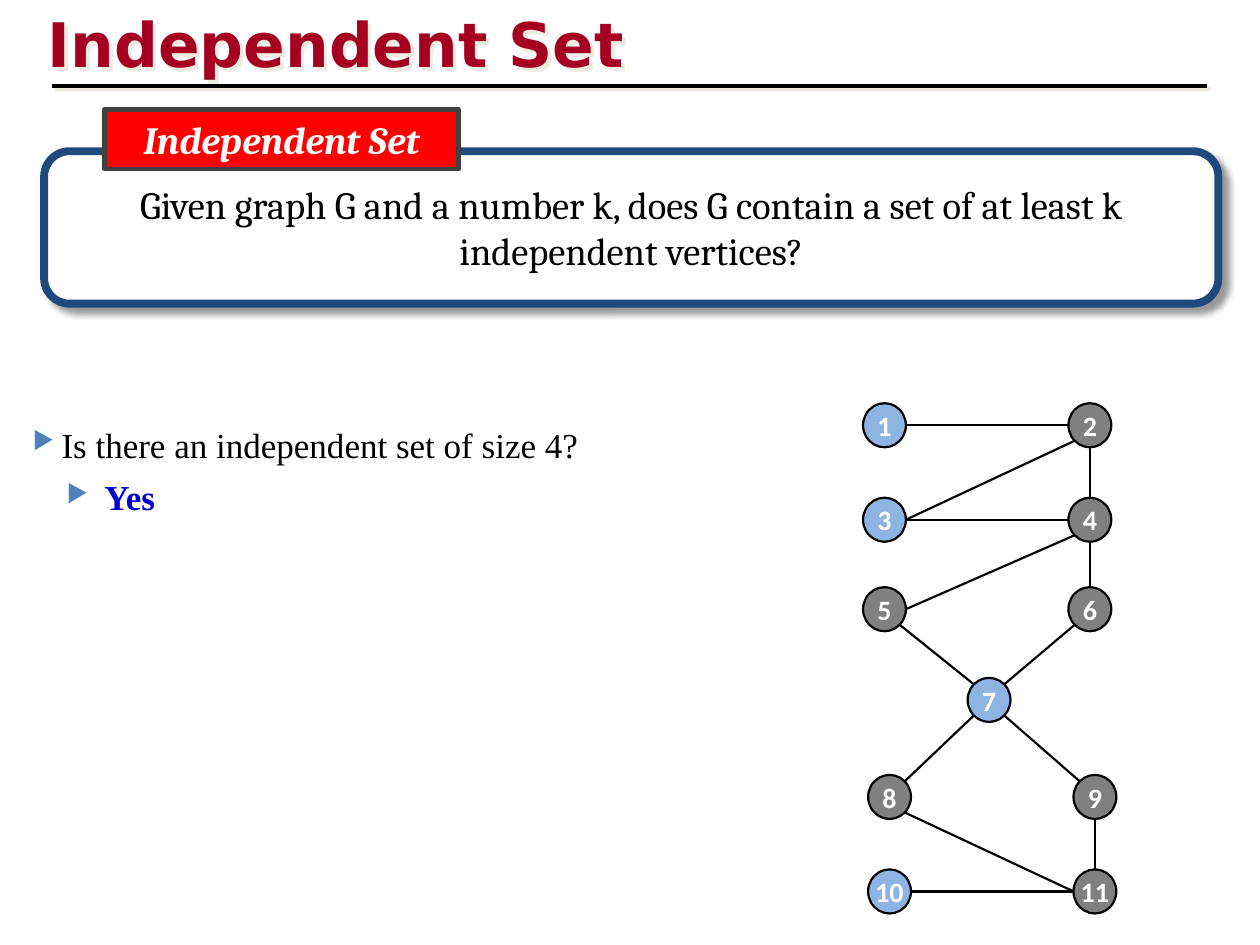
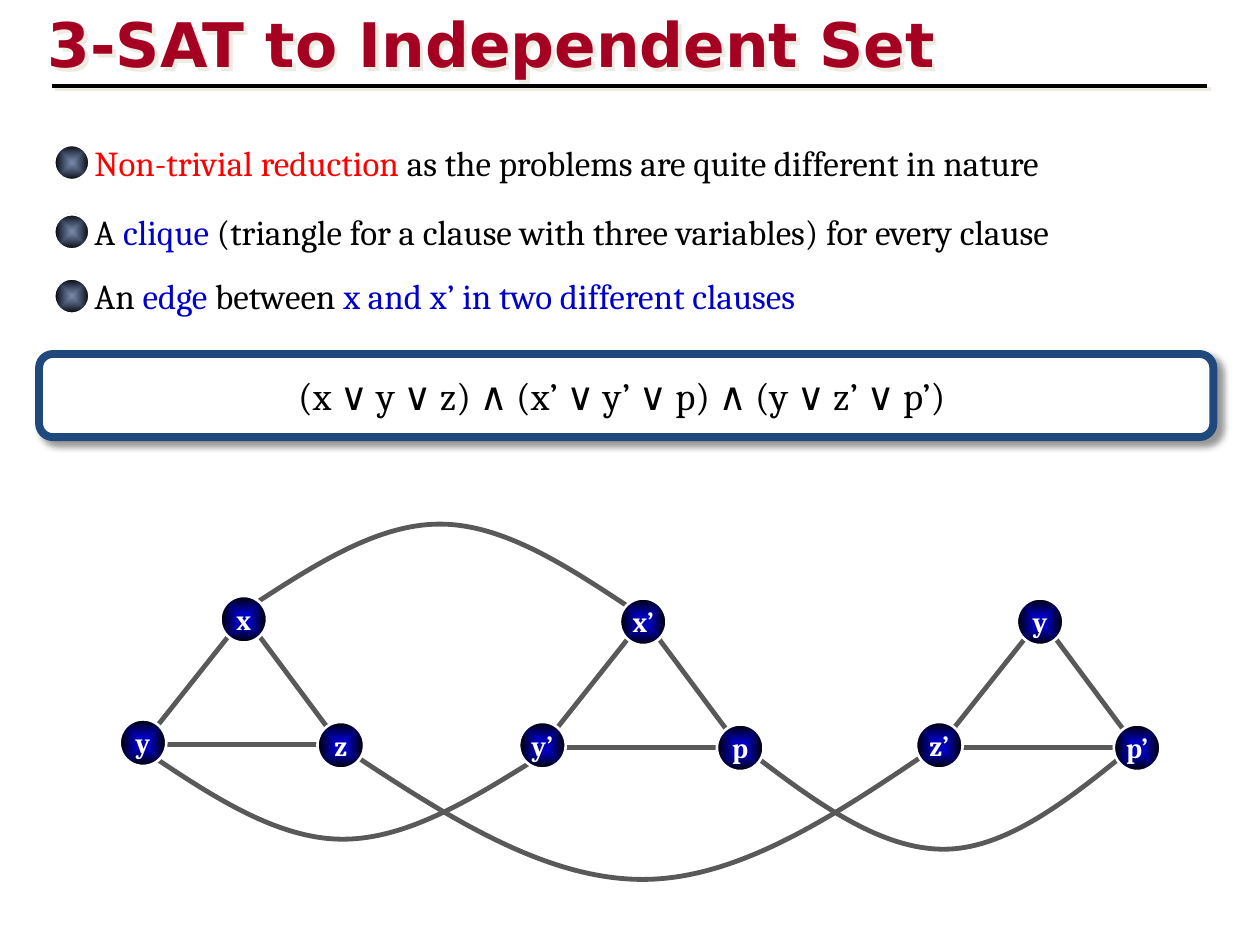
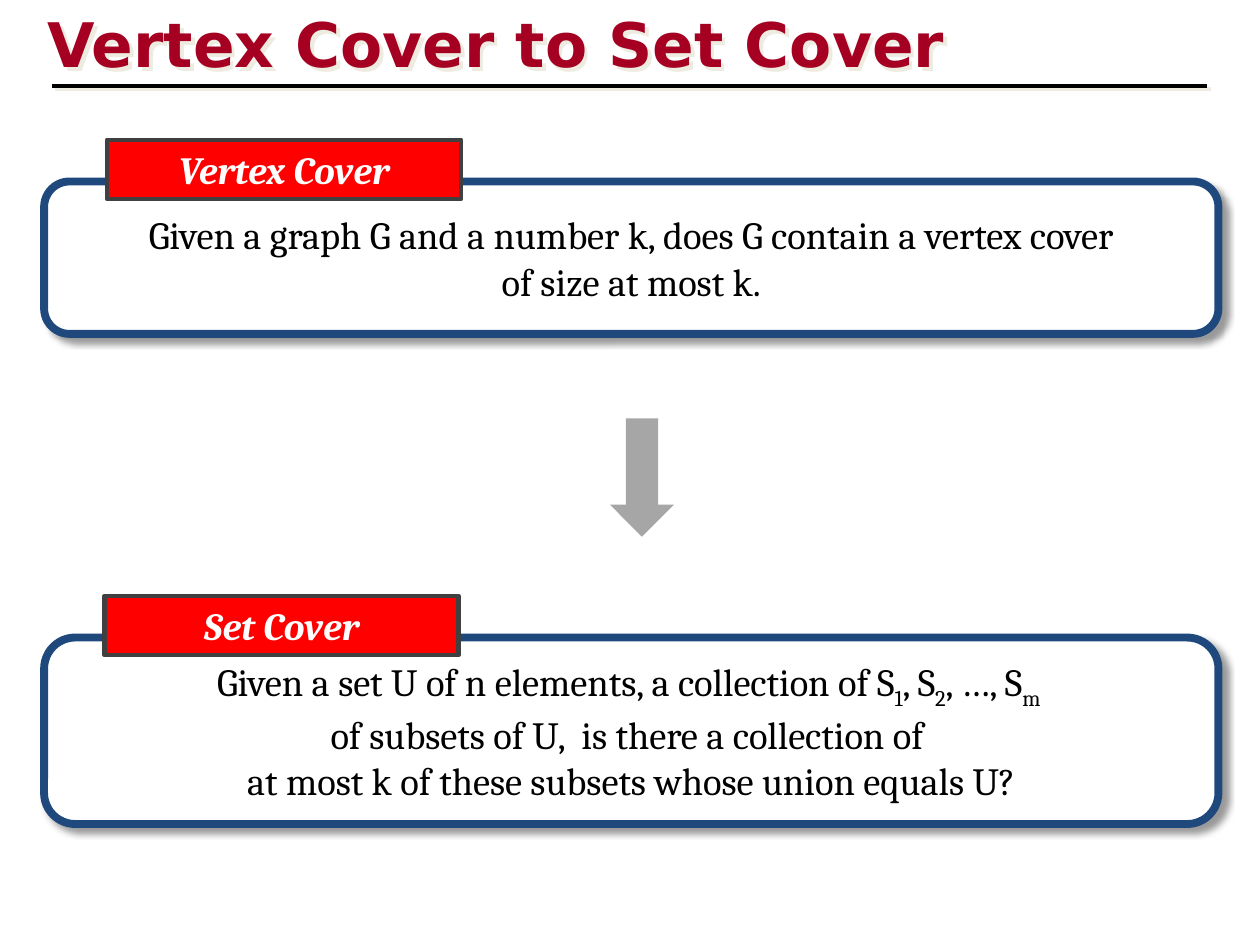
from lxml import etree
from pptx import Presentation
from pptx import util as u
from pptx.dml.color import RGBColor
from pptx.enum import shapes, text
from pptx.oxml import ns

# Shared style
BLACK, WHITE, RED, BLUE = "000000", "FFFFFF", "FF0000", "0000CC"
TITLE_RED, FRAME_BLUE, SHADE = "A50021", "1F497D", "EEECE1"
PICKED, UNPICKED, EDGE, ARROW = "8EB4E3", "808080", "595959", "A6A6A6"
TITLE_FONT, BODY_FONT, NODE_FONT, QUESTION_FONT = "DejaVu Sans", "Cambria", "Calibri", "Times New Roman"
CENTER = text.PP_ALIGN.CENTER
KINDS = shapes.MSO_SHAPE

# Content: paragraphs are lists of (words, changes) runs
INDEPENDENT_SET = [[("Given graph G and a number k, does G contain a set of at least k", {})],
                   [("independent vertices?", {})]]
VERTEX_COVER = [[("Given a graph G and a number k, does G contain a vertex cover", {})],
                [("of size at most k.", {})]]
SUB = {"baseline": -25000}
SET_COVER = [[("Given a set U of n elements, a collection of S", {}), ("1", SUB), (", S", {}),
              ("2", SUB), (", …, S", {}), ("m ", SUB)],
             [("of subsets of U,  is there a collection of ", {})],
             [("at most k of these subsets whose union equals U?", {})]]
FORMULA = [[("(x ∨ y ∨ z) ∧ (x’ ∨ y’ ∨ p) ∧ (y ∨ z’ ∨ p’) ", {})]]

QUESTION = [[("Is there an independent set of size 4?", {})],
            [("Yes", {"color": BLUE, "bold": True})]]
QUESTION_INDENTS = [(0.23, 0.23), (0.57, 0.3)]  # text margin, hanging part

REDUCTION_POINTS = [  # top, runs
    (1.07, [("Non-trivial reduction", {"color": RED}),
            (" as the problems are quite different in nature", {})]),
    (1.62, [("A ", {}), ("clique", {"color": BLUE}),
            (" (triangle for a clause with three variables) for every clause", {})]),
    (2.13, [("An ", {}), ("edge", {"color": BLUE}), (" between ", {}),
            ("x and x’ in two different clauses", {"color": BLUE})]),
]

# Graph of slide 1: rows of (top, {left: vertex})
GRAPH_ROWS = [(3.2, {6.85: 1, 8.48: 2}), (3.95, {6.85: 3, 8.48: 4}), (4.66, {6.85: 5, 8.48: 6}),
              (5.38, {7.68: 7}), (6.15, {6.89: 8, 8.52: 9}), (6.9, {6.89: 10, 8.52: 11})]
INDEPENDENT = {1, 3, 7, 10}
GRAPH_EDGES = [(1, "E", 2, "W"), (3, "E", 2, "SW"), (3, "E", 4, "W"), (4, "N", 2, "S"),
               (5, "E", 4, "SW"), (6, "N", 4, "S"), (5, "SE", 7, "NW"), (6, "SW", 7, "NE"),
               (7, "SW", 8, "NE"), (7, "SE", 9, "NW"), (8, "SE", 11, "W"),
               (11, "N", 9, "S"), (10, "E", 11, "W")]
VERTEX_WIDTH, VERTEX_HEIGHT = 0.34, 0.35

# Clause triangles of slide 2: apex corner and the three literals
CLAUSES = [((1.75, 4.73), "x y z"), ((4.92, 4.75), "x’ y’ p"), ((8.07, 4.75), "y z’ p’")]
TRIANGLE = [(0, 0), (-0.8, 0.98), (0.77, 1)]
TRIANGLE_EDGES = [((-0.62, 1.18), (0.19, 0.16)), ((0.95, 1.18), (0.19, 0.16)),
                  ((0.89, 1.18), (-0.6, 1.18))]
LITERAL_SIZE = 0.37
CONFLICTS = [  # start, turning point, end
    ((2.01, 4.8), (3.49, 4.16), (5.01, 4.83)), ((1.12, 5.94), (2.72, 6.66), (4.26, 6.02)),
    ((2.7, 5.92), (5.1, 6.98), (7.44, 5.92)), ((5.9, 5.93), (7.49, 6.74), (9.03, 5.9))]


def rgb(color):
    return RGBColor.from_string(color)


def add_child(parent, tag, **attributes):
    values = {name: str(value) for name, value in attributes.items()}
    return etree.SubElement(parent, ns.qn("a:" + tag), values)


def add_color(parent, color, opacity=100):
    element = add_child(parent, "srgbClr", val=color)
    if opacity < 100:
        add_child(element, "alpha", val=opacity * 1000)


def add_shadow(effects, color, opacity, blur, distance):
    shadow = add_child(effects, "outerShdw", blurRad=u.Pt(blur), dist=u.Pt(distance),
                       dir=45 * 60000, algn="tl", rotWithShape=0)
    add_color(shadow, color, opacity)


def set_gradient(shape, stops):
    shape.fill.gradient()
    gradient = shape._element.spPr.find(ns.qn("a:gradFill"))
    for child in list(gradient):
        gradient.remove(child)
    stop_list = add_child(gradient, "gsLst")
    for position, color, opacity in stops:
        add_color(add_child(stop_list, "gs", pos=position * 1000), color, opacity)
    center = add_child(gradient, "path", path="shape")
    add_child(center, "fillToRect", l=50000, t=50000, r=50000, b=50000)


def add_run(paragraph, words, font, size, color=BLACK, bold=False, italic=False, baseline=0):
    run = paragraph.add_run()
    run.text = words
    run.font.name, run.font.size = font, u.Pt(size)
    run.font.bold, run.font.italic = bold, italic
    run.font.color.rgb = rgb(color)
    if baseline:
        run.font._element.set("baseline", str(baseline))


def write(shape, paragraphs, font, size, align=None, wrap=True, **style):
    frame = shape.text_frame
    frame.word_wrap = wrap
    for index, runs in enumerate(paragraphs):
        paragraph = frame.add_paragraph() if index else frame.paragraphs[0]
        paragraph.alignment = align
        for words, changes in runs:
            add_run(paragraph, words, font, size, **{**style, **changes})
    return frame


def add_shape(slide, kind, left, top, width, height, fill=None, line=None, weight=1):
    shape = slide.shapes.add_shape(kind, u.Inches(left), u.Inches(top),
                                   u.Inches(width), u.Inches(height))
    if fill:
        shape.fill.solid()
        shape.fill.fore_color.rgb = rgb(fill)
    if line:
        shape.line.color.rgb = rgb(line)
        shape.line.width = u.Pt(weight)
    else:
        shape.line.fill.background()
    shape.shadow.inherit = False
    return shape


def add_text_box(slide, left, top, width, height):
    return slide.shapes.add_textbox(u.Inches(left), u.Inches(top), u.Inches(width), u.Inches(height))


def add_line(slide, start, end, color, weight):
    """Draw a straight line and return its effect list."""
    points = [u.Inches(value) for value in (*start, *end)]
    line = slide.shapes.add_connector(shapes.MSO_CONNECTOR.STRAIGHT, *points)
    line.line.color.rgb = rgb(color)
    line.line.width = u.Pt(weight)
    return add_child(line._element.spPr, "effectLst")


def add_titled_slide(presentation, words):
    slide = presentation.slides.add_slide(presentation.slide_layouts[5])
    title = slide.shapes.title
    title.left, title.top, title.width, title.height = map(u.Inches, (0.28, 0.01, 8.5, 0.67))
    title.fill.background()
    add_shadow(add_child(title._element.spPr, "effectLst"), SHADE, 100, 0, 2.8)
    frame = title.text_frame
    frame.vertical_anchor = text.MSO_ANCHOR.TOP
    frame.margin_top = u.Inches(0.04)
    frame.auto_size = text.MSO_AUTO_SIZE.NONE
    frame.paragraphs[0].alignment = text.PP_ALIGN.LEFT
    add_run(frame.paragraphs[0], words, TITLE_FONT, 35.1, TITLE_RED, bold=True)
    add_shadow(add_line(slide, (0.41, 0.68), (9.58, 0.68), BLACK, 2.25), SHADE, 100, 0, 2.8)
    return slide


def add_frame(slide, left, top, height, paragraphs):
    frame = add_shape(slide, KINDS.ROUNDED_RECTANGLE, left, top, 9.32, height, WHITE, FRAME_BLUE, 4.5)
    add_shadow(frame._element.spPr.find(ns.qn("a:effectLst")), BLACK, 40, 4, 4)
    write(frame, paragraphs, BODY_FONT, 22, CENTER, wrap=False)


def add_problem(slide, name, top, height, paragraphs, tag_left=0.83):
    """Framed problem statement with its red name tag on the upper edge."""
    add_frame(slide, 0.35, top, height, paragraphs)
    tag = add_shape(slide, KINDS.RECTANGLE, tag_left, top - 0.33, 2.81, 0.47, RED, "404040", 2.5)
    write(tag, [[(name, {})]], BODY_FONT, 22, CENTER, color=WHITE, bold=True, italic=True)


def add_label(shape, words, font):
    write(shape, [[(words, {})]], font, 16, CENTER, wrap=False, color=WHITE, bold=True)


def rim_point(corner, direction):
    """Point on a vertex outline in a compass direction."""
    across = ("E" in direction) - ("W" in direction)
    down = ("S" in direction) - ("N" in direction)
    reach = 0.5 if len(direction) == 1 else 0.35
    return (corner[0] + VERTEX_WIDTH * (0.5 + reach * across),
            corner[1] + VERTEX_HEIGHT * (0.5 + reach * down))


def add_conflict(slide, *stops):
    """Arch of two Bezier pieces that is level at its turning point."""
    points = [(u.Inches(x), u.Inches(y)) for x, y in stops]
    builder = slide.shapes.build_freeform(*points[0])
    builder.add_line_segments(points[1:], close=False)
    curve = builder.convert_to_shape()
    pieces = list(curve._element.spPr.iter(ns.qn("a:lnTo")))
    for index, piece in enumerate(pieces):
        (x0, y0), (x1, y1) = points[index:index + 2]
        halfway, level = (y0 + y1) / 2, points[1][1]
        heights = (level, halfway) if index else (halfway, level)
        piece.tag = ns.qn("a:cubicBezTo")
        for third, height in enumerate(heights):
            control = etree.Element(ns.qn("a:pt"))
            control.set("x", str(round(x0 + (x1 - x0) * (third + 1) / 3 - curve.left)))
            control.set("y", str(round(height - curve.top)))
            piece.insert(third, control)
    curve.fill.background()
    curve.line.color.rgb = rgb(EDGE)
    curve.line.width = u.Pt(2.75)
    curve.shadow.inherit = False


def build_independent_set(presentation):
    slide = add_titled_slide(presentation, "Independent Set")
    add_problem(slide, "Independent Set", 1.2, 1.21, INDEPENDENT_SET)

    # Question and answer
    box = add_text_box(slide, 0.16, 3.31, 5.75, 0.86)
    frame = write(box, QUESTION, QUESTION_FONT, 20)
    for index, (margin, hanging) in enumerate(QUESTION_INDENTS):
        paragraph = frame.paragraphs[index]
        if index:
            paragraph.level = index
            paragraph.space_before = u.Pt(6)
        properties = paragraph._p.get_or_add_pPr()
        properties.set("marL", str(u.Inches(margin)))
        properties.set("indent", str(-u.Inches(hanging)))
        add_color(add_child(properties, "buClr"), "4F81BD")
        add_child(properties, "buSzPct", val=70000)
        add_child(properties, "buChar", char="▶")

    # Graph
    corners = {vertex: (left, top) for top, row in GRAPH_ROWS for left, vertex in row.items()}
    for vertex, corner in corners.items():
        fill = PICKED if vertex in INDEPENDENT else UNPICKED
        circle = add_shape(slide, KINDS.OVAL, *corner, VERTEX_WIDTH, VERTEX_HEIGHT, fill, BLACK, 1.25)
        add_label(circle, str(vertex), NODE_FONT)
    for first, leaving, second, entering in GRAPH_EDGES:
        add_line(slide, rim_point(corners[first], leaving),
                 rim_point(corners[second], entering), BLACK, 1.25)


def build_reduction(presentation):
    slide = add_titled_slide(presentation, "3-SAT to Independent Set")

    # Points with ball bullets
    for top, runs in REDUCTION_POINTS:
        ball = add_shape(slide, KINDS.OVAL, 0.43, top + 0.08, 0.28, 0.28, line=WHITE, weight=1.5)
        set_gradient(ball, [(0, "002060", 51), (100, BLACK, 100)])
        write(add_text_box(slide, 0.65, top, 9.15, 0.44), [runs], BODY_FONT, 20)
    add_frame(slide, 0.31, 2.81, 0.66, FORMULA)

    # Conflict edges, then the clause triangles over them
    for stops in CONFLICTS:
        add_conflict(slide, *stops)
    for (left, top), literals in CLAUSES:
        for edge in TRIANGLE_EDGES:
            start, end = [(left + across, top + down) for across, down in edge]
            add_line(slide, start, end, EDGE, 2.75)
        for (across, down), literal in zip(TRIANGLE, literals.split()):
            circle = add_shape(slide, KINDS.OVAL, left + across, top + down,
                               LITERAL_SIZE, LITERAL_SIZE, line=WHITE, weight=1.5)
            set_gradient(circle, [(0, BLUE, 100), (16, "0000AB", 100), (21, BLUE, 100),
                                  (100, BLACK, 100)])
            add_label(circle, literal, BODY_FONT)


def build_cover(presentation):
    slide = add_titled_slide(presentation, "Vertex Cover to Set Cover")
    add_problem(slide, "Vertex Cover", 1.44, 1.21, VERTEX_COVER, tag_left=0.85)
    add_shape(slide, KINDS.DOWN_ARROW, 4.84, 3.32, 0.51, 0.94, ARROW)
    add_problem(slide, "Set Cover", 5.06, 1.48, SET_COVER)


def main():
    presentation = Presentation()
    presentation.slide_width, presentation.slide_height = u.Inches(10), u.Inches(7.5)
    build_independent_set(presentation)
    build_reduction(presentation)
    build_cover(presentation)
    presentation.save("out.pptx")


if __name__ == "__main__":
    main()
